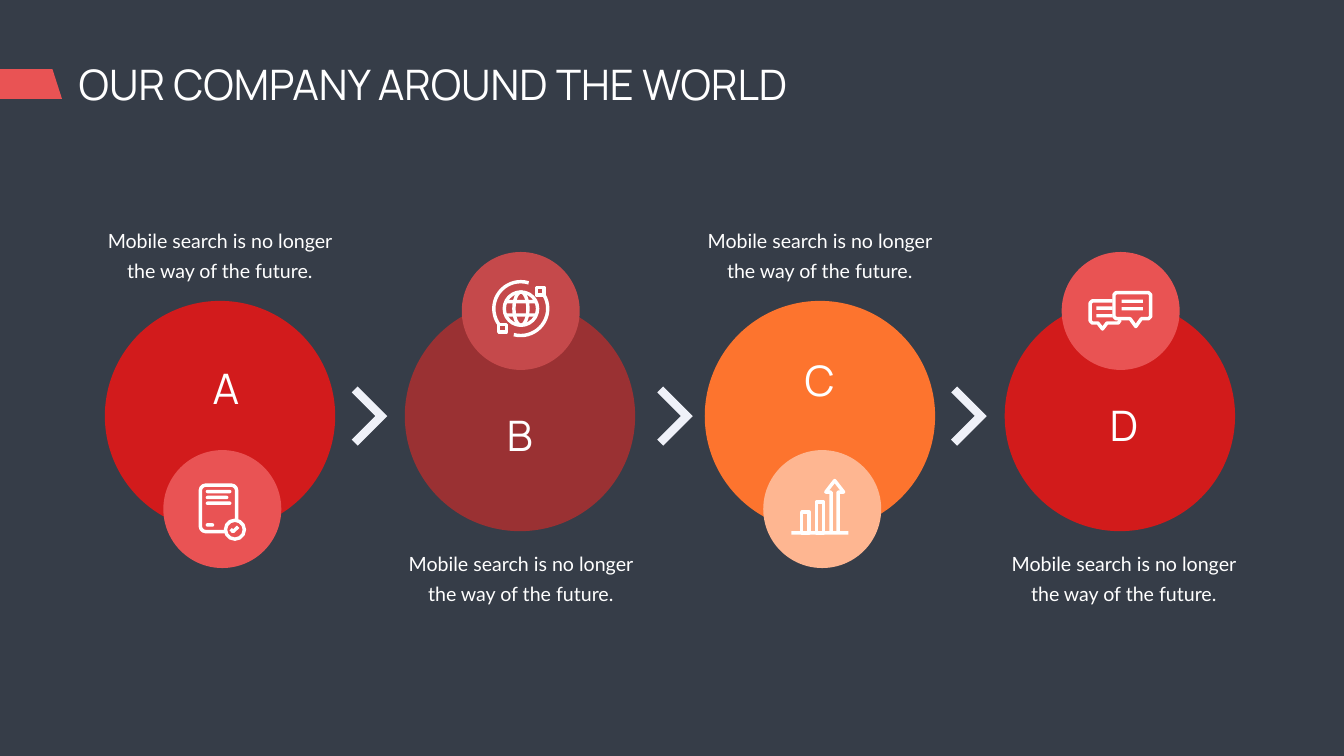
"""Build the slide showing four linked stages, each with a letter, an icon and a caption."""
import pptx
import pptx.dml.color
import pptx.enum.shapes
import pptx.enum.text
import pptx.util

Pt = pptx.util.Pt
KIND = pptx.enum.shapes.MSO_SHAPE
ALIGN = pptx.enum.text.PP_ALIGN
WHITE = "FFFFFF"
STROKE = 4.9


def paint(shape, fill=None, line=None):
    """Set a shape's fill and line from hex strings and drop its shadow."""
    shape.shadow.inherit = False
    for part, colour in ((shape.fill, fill), (shape.line.fill, line)):
        if colour:
            part.solid()
            part.fore_color.rgb = pptx.dml.color.RGBColor.from_string(colour)
        else:
            part.background()
    if line:
        shape.line.width = Pt(STROKE)


def write(shape, text, font="Manrope", size=60, align=ALIGN.CENTER,
          spacing=None, margin_x=0, margin_y=0):
    """Put formatted white text into a shape."""
    frame = shape.text_frame
    frame.word_wrap = True
    frame.auto_size = pptx.enum.text.MSO_AUTO_SIZE.NONE
    frame.vertical_anchor = pptx.enum.text.MSO_ANCHOR.TOP
    frame.margin_left = frame.margin_right = Pt(margin_x)
    frame.margin_top = frame.margin_bottom = Pt(margin_y)
    paragraph = frame.paragraphs[0]
    paragraph.alignment = align
    if spacing:
        paragraph.line_spacing = Pt(spacing)
    run = paragraph.add_run()
    run.text = text
    run.font.name = font
    run.font.size = Pt(size)
    run.font.color.rgb = pptx.dml.color.RGBColor.from_string(WHITE)


deck = pptx.Presentation()
deck.slide_width, deck.slide_height = Pt(1919.52), Pt(1080)
slide = deck.slides.add_slide(deck.slide_layouts[5])
shapes = slide.shapes
slide.background.fill.solid()
slide.background.fill.fore_color.rgb = pptx.dml.color.RGBColor.from_string("363D48")

title = shapes.title
title.left, title.top, title.width, title.height = Pt(112.32), Pt(83.52), Pt(1116), Pt(80)
write(title, "OUR COMPANY AROUND THE WORLD", align=ALIGN.LEFT)

stages = [
    ("A", "D21B1C", "E95354", 233.3, 643, 322.6, 518.4, 126, 308.9),
    ("B", "9A3133", "C5494B", 659.5, 360, 742.3, 584.6, 555.8, 769.7),
    ("C", "FD742E", "FEB691", 1090.1, 643, 1170.7, 506.2, 982.8, 308.9),
    ("D", "D21B1B", "E95353", 1516.3, 360, 1605.2, 570.2, 1417, 769.7),
]
for index, (letter, colour, badge_colour, badge_x, badge_y,
            letter_x, letter_y, caption_x, caption_y) in enumerate(stages):
    disc = shapes.add_shape(KIND.OVAL, Pt(149.76 + 428.4 * index), Pt(429.84), Pt(329), Pt(329))
    paint(disc, colour)
    badge = shapes.add_shape(KIND.OVAL, Pt(badge_x), Pt(badge_y), Pt(168.5), Pt(168.5))
    paint(badge, badge_colour)
    letter_box = shapes.add_textbox(Pt(letter_x - 100), Pt(letter_y), Pt(200), Pt(80))
    write(letter_box, letter)
    caption = shapes.add_textbox(Pt(caption_x), Pt(caption_y), Pt(375.84), Pt(99.4))
    write(caption, "Mobile search is no longer the way of the future.", font="Lato", size=28,
          spacing=43, margin_x=17.28, margin_y=8.64)

for chevron_x in (481, 917.3, 1337):
    chevron = shapes.add_shape(KIND.CORNER, Pt(chevron_x), Pt(564.5), Pt(59.8), Pt(59.8))
    chevron.rotation = 225
    chevron.adjustments[0], chevron.adjustments[1] = 0.2, 0.204
    paint(chevron, "EFF1F8")

outlines = [
    (KIND.ROUNDED_RECTANGLE, 286.1, 693, 52, 66.5, None, (0.15,)),
    (KIND.OVAL, 322, 743.2, 27, 27, "E95354", ()),
    (KIND.OVAL, 720.2, 417.1, 47.6, 47.6, None, ()),
    (KIND.OVAL, 734, 417.1, 20, 47.6, None, ()),
    (KIND.ARC, 705.3, 402.4, 77, 77, None, (330 * 0.6, 105 * 0.6)),
    (KIND.ARC, 705.3, 402.4, 77, 77, None, (146 * 0.6, 287 * 0.6)),
    (KIND.RECTANGLE, 766.3, 410.7, 11, 11, None, ()),
    (KIND.RECTANGLE, 712.3, 463.3, 11, 11, None, ()),
    (KIND.RECTANGLE, 1145, 731.2, 10.4, 30.2, None, ()),
    (KIND.RECTANGLE, 1166, 717.4, 10.4, 44, None, ()),
]
for kind, x, y, width, height, fill, adjustments in outlines:
    outline = shapes.add_shape(kind, Pt(x), Pt(y), Pt(width), Pt(height))
    for index, value in enumerate(adjustments):
        outline.adjustments[index] = value
    paint(outline, fill, WHITE)

bars = [
    (KIND.ROUNDED_RECTANGLE, 293.8, 699.8, 36.7),
    (KIND.ROUNDED_RECTANGLE, 293.8, 708.2, 32.4),
    (KIND.ROUNDED_RECTANGLE, 293.8, 716.4, 36.7),
    (KIND.ROUNDED_RECTANGLE, 293.8, 747.4, 12.2),
    (KIND.RECTANGLE, 723, 428.5, 42),
    (KIND.RECTANGLE, 723, 447.6, 42),
    (KIND.RECTANGLE, 1566, 437.8, 23),
    (KIND.RECTANGLE, 1566, 448.6, 23),
    (KIND.RECTANGLE, 1602, 427.9, 30.2),
    (KIND.RECTANGLE, 1602, 438.7, 30.2),
    (KIND.RECTANGLE, 1130.4, 758.9, 81.4),
]
for kind, x, y, width in bars:
    bar = shapes.add_shape(kind, Pt(x), Pt(y), Pt(width), Pt(STROKE))
    if kind == KIND.ROUNDED_RECTANGLE:
        bar.adjustments[0] = 0.5
    paint(bar, WHITE)

title_tab = [(0, 98.64), (74.88, 98.64), (88.56, 141.12), (0, 141.12)]
check_mark = [(329.5, 756), (332.8, 759.5), (340.2, 752.5)]
growth_arrow = [(1187, 759), (1187, 703), (1179.4, 703), (1192.1, 686.5),
                (1204.9, 703), (1197, 703), (1197, 759)]
front_bubble = [(1594, 418), (1640.4, 418), (1643.4, 421), (1643.4, 452.3), (1640.4, 455.3),
                (1630, 455.3), (1622.2, 466.5), (1614, 455.3), (1594, 455.3), (1591, 452.3),
                (1591, 421)]
back_bubble = [(1589, 429.8), (1560, 429.8), (1557, 432.8), (1557, 458.5), (1560, 461.5),
               (1568, 461.5), (1574.6, 470), (1581, 461.5), (1597, 461.5), (1600, 457)]
paths = [
    (title_tab, True, "E95354", None),
    (check_mark, False, None, WHITE),
    (growth_arrow, False, None, WHITE),
    (front_bubble, True, None, WHITE),
    (back_bubble, False, None, WHITE),
]
for points, closed, fill, line in paths:
    start, *rest = [(Pt(x), Pt(y)) for x, y in points]
    builder = shapes.build_freeform(*start)
    builder.add_line_segments(rest, close=closed)
    paint(builder.convert_to_shape(), fill, line)

deck.save("out.pptx")
